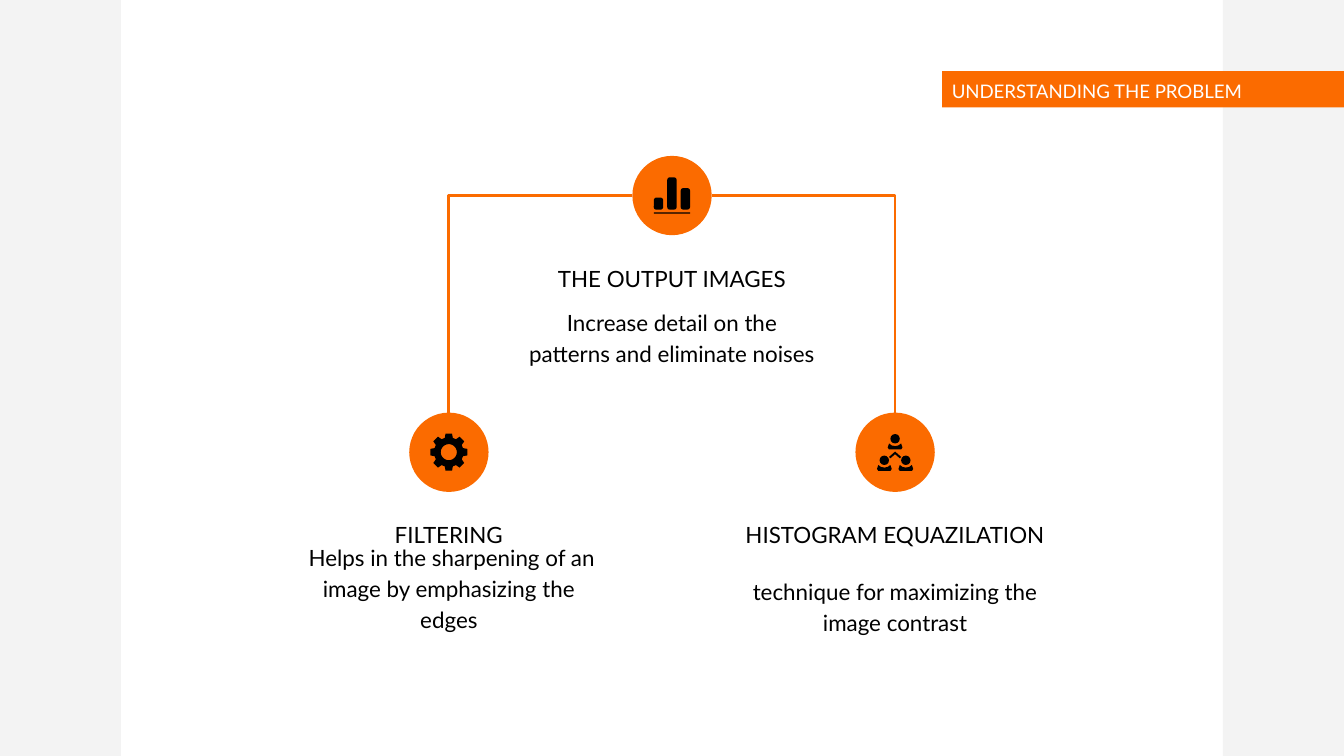
from math import cos, radians, sin

from lxml import etree
from pptx import Presentation
from pptx.dml.color import RGBColor
from pptx.enum.shapes import MSO_CONNECTOR, MSO_SHAPE
from pptx.enum.text import MSO_ANCHOR, MSO_AUTO_SIZE, PP_ALIGN
from pptx.oxml.ns import qn
from pptx.util import Pt

PX = 9144
WIDTH = 1000
HEIGHT = WIDTH * 9 / 16
CIRCLE = 59
ICON = 27
INSET = 10
TITLE_ONLY = 5
RECTANGLE, ROUNDED, OVAL = MSO_SHAPE.RECTANGLE, MSO_SHAPE.ROUNDED_RECTANGLE, MSO_SHAPE.OVAL
ELBOW = MSO_CONNECTOR.ELBOW
CENTER, RIGHT = PP_ALIGN.CENTER, PP_ALIGN.RIGHT
TOP, BOTTOM = MSO_ANCHOR.TOP, MSO_ANCHOR.BOTTOM
FIXED = MSO_AUTO_SIZE.NONE

COLORS = {"accent": "FB6B00", "band": "F3F3F3", "paper": "FFFFFF", "ink": "000000"}
HEADING = {"line_spacing": 1.0}
BODY = {"line_spacing": 1.15, "space_after": Pt(16)}


def color(name):
    return RGBColor.from_string(COLORS[name])


def emu(*lengths):
    return [round(length * PX) for length in lengths]


def paint(shape, fill):
    shape.shadow.inherit = False
    shape.fill.solid()
    shape.fill.fore_color.rgb = color(fill)
    shape.line.fill.background()
    return shape


def add_block(slide, kind, box, fill):
    return paint(slide.shapes.add_shape(kind, *emu(*box)), fill)


def add_outline(slide, origin, contours):
    left, top = origin
    placed = [[emu(left + x, top + y) for x, y in contour] for contour in contours]
    builder = slide.shapes.build_freeform(*placed[0][0], scale=1.0)
    builder.add_line_segments(placed[0][1:])
    for contour in placed[1:]:
        builder.move_to(*contour[0])
        builder.add_line_segments(contour[1:])
    return paint(builder.convert_to_shape(), "ink")


def write_text(shape, text, size, ink, alignment, anchor, spacing):
    frame = shape.text_frame
    margins = {f"margin_{side}": INSET * PX for side in ("left", "top", "right", "bottom")}
    settings = {"word_wrap": True, "auto_size": FIXED, "vertical_anchor": anchor, **margins}
    for name, value in settings.items():
        setattr(frame, name, value)
    paragraph = frame.paragraphs[0]
    for name, value in {"alignment": alignment, **spacing}.items():
        setattr(paragraph, name, value)
    run = paragraph.add_run()
    run.text = text
    for name, value in {"name": "Lato", "size": Pt(size), "bold": False}.items():
        setattr(run.font, name, value)
    run.font.color.rgb = color(ink)


def add_bands(slide, width):
    for left in (0, WIDTH - width):
        add_block(slide, RECTANGLE, (left, 0, width, HEIGHT), "band")


def add_banner(slide, box, text):
    left, top, width, height = box
    add_block(slide, RECTANGLE, box, "accent")
    title = slide.shapes.title
    slide.shapes._spTree.append(title._element)
    title.left, title.top, title.width, title.height = emu(left - 53, top - 17, 286, 50)
    write_text(title, text, 10, "paper", RIGHT, BOTTOM, HEADING)


def add_chart_icon(slide, left, top):
    for x, y in ((0, 15), (10, 0), (20, 8)):
        bar = add_block(slide, ROUNDED, (left + x, top + y, 7, 24 - y), "ink")
        bar.adjustments[0] = 0.28
    add_block(slide, ROUNDED, (left, top + 26, ICON, 1), "ink")


def ring_point(radius, angle):
    turn = radians(angle)
    return ICON / 2 + radius * cos(turn), ICON / 2 + radius * sin(turn)


def add_gear_icon(slide, left, top):
    tooth = ((11, -16), (14, -10), (14, 10), (11, 16))
    rim = [ring_point(radius, start + offset)
           for start in range(0, 360, 45) for radius, offset in tooth]
    hole = [ring_point(6, angle) for angle in range(360, 0, -15)]
    add_outline(slide, (left, top), [rim, hole])


def add_people_icon(slide, left, top):
    shoulders = [(1, 0), (3, 1.5), (5.5, 2), (8, 1.5), (10, 0),
                 (11, 3), (10, 4.5), (1, 4.5), (0, 3)]
    for x, y in ((8, 0), (0, 16), (16, 16)):
        add_block(slide, OVAL, (left + x + 2, top + y, 7, 7), "ink")
        add_outline(slide, (left + x, top + y + 7), [shoulders])
    roof = [(0, 4), (4.5, 0), (9, 4), (8, 5), (4.5, 2), (1, 5)]
    add_outline(slide, (left + 9, top + 13), [roof])


def add_topic(slide, center, top, heading, heading_width, body, body_box, draw_icon):
    circle_box = (center - CIRCLE / 2, top, CIRCLE, CIRCLE)
    add_block(slide, OVAL, circle_box, "accent")
    draw_icon(slide, center - ICON / 2, top + 16)
    offset, width = body_box
    texts = (
        (heading, top + 71, heading_width, 27, HEADING),
        (body, top + offset, width, 50, BODY),
    )
    for text, text_top, text_width, height, spacing in texts:
        box = emu(center - text_width / 2, text_top, text_width, height)
        write_text(slide.shapes.add_textbox(*box), text, 12, "ink", CENTER, TOP, spacing)


def add_branch(slide, start, end):
    branch = slide.shapes.add_connector(ELBOW, *emu(*start, *end))
    branch.line.color.rgb = color("accent")
    branch.line.width = Pt(1.5)
    properties = branch._element.spPr
    properties.find(qn("a:prstGeom")).set("prst", "bentConnector2")
    etree.SubElement(properties, qn("a:effectLst"))


def add_topic_tree(slide, center, top, spread, drop):
    topics = (
        (0, 0, "THE OUTPUT IMAGES", 204,
         "Increase detail on the patterns and eliminate noises", (101, 234), add_chart_icon),
        (-spread, drop, "FILTERING", 204,
         " Helps in the sharpening of an image by emphasizing the edges", (85, 252), add_gear_icon),
        (spread, drop, "HISTOGRAM EQUAZILATION", 253,
         "technique for maximizing the image contrast", (110, 269), add_people_icon),
    )
    for shift, fall, *content in topics:
        add_topic(slide, center + shift, top + fall, *content)
    for side in (-1, 1):
        start = (center + side * CIRCLE / 2, top + CIRCLE / 2)
        add_branch(slide, start, (center + side * spread, top + drop))


def main():
    presentation = Presentation()
    presentation.slide_width, presentation.slide_height = emu(WIDTH, HEIGHT)
    slide = presentation.slides.add_slide(presentation.slide_layouts[TITLE_ONLY])
    slide.background.fill.solid()
    slide.background.fill.fore_color.rgb = color("paper")
    add_bands(slide, 90)
    add_banner(slide, (701, 53, 299, 27), "UNDERSTANDING THE PROBLEM")
    add_topic_tree(slide, WIDTH // 2, 116, 166, 191)
    presentation.save("out.pptx")


if __name__ == "__main__":
    main()
